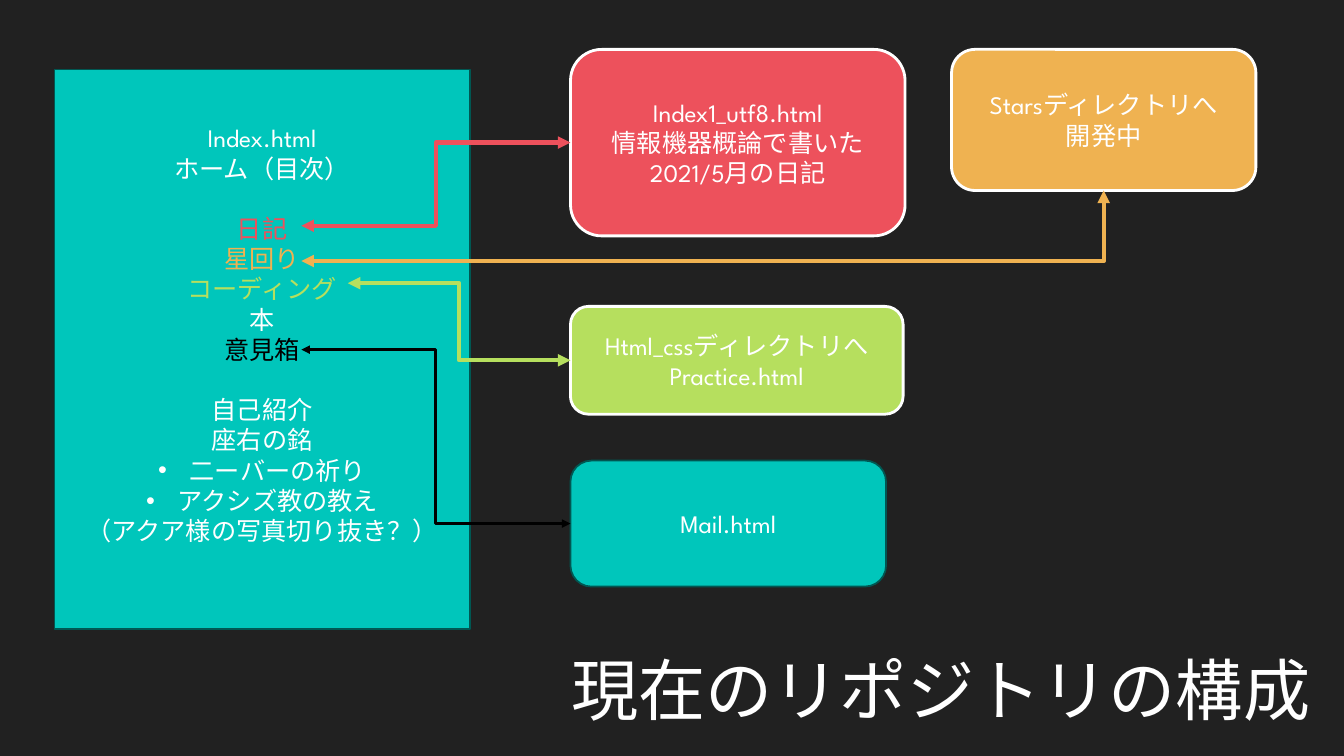
from dataclasses import dataclass

import lxml.etree
import pptx
import pptx.dml.color
import pptx.enum.shapes
import pptx.enum.text
import pptx.oxml.ns
import pptx.shapes.autoshape
import pptx.slide
import pptx.text.text
import pptx.util

Pt = pptx.util.Pt
qn = pptx.oxml.ns.qn
SHAPES = pptx.enum.shapes.MSO_SHAPE
ALIGN = pptx.enum.text.PP_ALIGN
ANCHOR = pptx.enum.text.MSO_ANCHOR


@dataclass(frozen=True)
class Theme:
    font: str = "League Spartan"
    body_size: float = 18
    title_size: float = 48
    ground: str = "212121"
    white: str = "FFFFFF"
    black: str = "000000"
    teal: str = "00C6BB"
    dark_teal: str = "005752"
    red: str = "ED515C"
    orange: str = "EFB251"
    green: str = "B6DF5E"


THEME = Theme()


@dataclass(frozen=True)
class Line:
    text: str
    color: str = THEME.white
    gap: float = 0
    bullet: bool = False


@dataclass(frozen=True)
class Card:
    left: float
    top: float
    width: float
    height: float
    fill: str
    outline: str
    outline_width: float
    lines: tuple[Line, ...]
    shape: pptx.enum.shapes.MSO_SHAPE = SHAPES.ROUNDED_RECTANGLE
    bottom_inset: float = 3.6

    @property
    def left_middle(self) -> tuple[float, float]:
        return self.left, self.top + self.height / 2

    @property
    def bottom_middle(self) -> tuple[float, float]:
        return self.left + self.width / 2, self.top + self.height


@dataclass(frozen=True)
class Link:
    start: tuple[float, float]
    end: tuple[float, float]
    color: str
    width: float = 3
    preset: str = "bentConnector3"


# Contents of the cards
BLANK_LINE = 21.5
HOME = Card(
    38.9, 49.7, 296.6, 399.6, THEME.teal, THEME.dark_teal, 1.25,
    (
        Line("Index.html"),
        Line("ホーム（目次）"),
        Line("日記", THEME.red, gap=BLANK_LINE),
        Line("星回り", THEME.orange),
        Line("コーディング", THEME.green),
        Line("本"),
        Line("意見箱", THEME.black),
        Line("自己紹介", gap=BLANK_LINE),
        Line("座右の銘"),
        Line("二ーバーの祈り", bullet=True),
        Line("アクシズ教の教え", bullet=True),
        Line("（アクア様の写真切り抜き？）"),
    ),
    shape=SHAPES.RECTANGLE,
    bottom_inset=3.6 + BLANK_LINE,
)
COLUMN = 407.5
DIARY = Card(COLUMN, 35.3, 239, 133.2, THEME.red, THEME.white, 2,
             (Line("Index1_utf8.html"), Line("情報機器概論で書いた2021/5月の日記")))
STARS = Card(679.7, 35.3, 217.4, 100.8, THEME.orange, THEME.white, 2,
             (Line("Starsディレクトリへ"), Line("開発中")))
CODING = Card(COLUMN, 218.9, 237.6, 77, THEME.green, THEME.white, 2,
              (Line("Html_cssディレクトリへ"), Line("Practice.html")))
MAIL = Card(COLUMN, 329, 225.4, 90, THEME.teal, THEME.dark_teal, 1.25,
            (Line("Mail.html"),))
CARDS = (HOME, DIARY, STARS, CODING, MAIL)

# Links from the table of contents to its pages
MENU_EDGE = 215.3
LINKS = (
    Link((MENU_EDGE, 161.3), DIARY.left_middle, THEME.red),
    Link((MENU_EDGE, 186.5), STARS.bottom_middle, THEME.orange, preset="bentConnector2"),
    Link((248.4, 202.3), CODING.left_middle, THEME.green),
    Link((MENU_EDGE, 249.8), MAIL.left_middle, THEME.black, width=2),
)


def rgb(color: str) -> pptx.dml.color.RGBColor:
    return pptx.dml.color.RGBColor.from_string(color)


def format_para(para: pptx.text.text._Paragraph, size: float, color: str, align: ALIGN) -> None:
    para.alignment = align
    for span in para.runs:
        span.font.name = THEME.font
        span.font.size = Pt(size)
        span.font.color.rgb = rgb(color)


def add_bullet(para: pptx.text.text._Paragraph) -> None:
    properties = para._p.get_or_add_pPr()
    properties.set("marL", str(Pt(22.5)))
    properties.set("indent", str(-Pt(22.5)))
    lxml.etree.SubElement(properties, qn("a:buFont")).set("typeface", "Arial")
    lxml.etree.SubElement(properties, qn("a:buChar")).set("char", "•")


def draw_card(page: pptx.slide.Slide, card: Card) -> None:
    box = page.shapes.add_shape(
        card.shape, Pt(card.left), Pt(card.top), Pt(card.width), Pt(card.height))
    box.shadow.inherit = False
    box.fill.solid()
    box.fill.fore_color.rgb = rgb(card.fill)
    box.line.color.rgb = rgb(card.outline)
    box.line.width = Pt(card.outline_width)
    frame = box.text_frame
    frame.word_wrap = True
    frame.vertical_anchor = ANCHOR.MIDDLE
    frame.margin_bottom = Pt(card.bottom_inset)
    frame.text = "\n".join(line.text for line in card.lines)
    for para, line in zip(frame.paragraphs, card.lines):
        format_para(para, THEME.body_size, line.color, ALIGN.CENTER)
        if line.gap:
            para.space_before = Pt(line.gap)
        if line.bullet:
            add_bullet(para)


def draw_link(page: pptx.slide.Slide, link: Link) -> None:
    connector = page.shapes.add_connector(
        pptx.enum.shapes.MSO_CONNECTOR.ELBOW,
        *(Pt(value) for value in link.start + link.end))
    connector.line.color.rgb = rgb(link.color)
    connector.line.width = Pt(link.width)
    properties = connector._element.spPr
    properties.find(qn("a:prstGeom")).set("prst", link.preset)
    outline = properties.find(qn("a:ln"))
    for arrowhead in ("a:headEnd", "a:tailEnd"):
        lxml.etree.SubElement(outline, qn(arrowhead)).set("type", "triangle")
    lxml.etree.SubElement(properties, qn("a:effectLst"))


def draw_title(page: pptx.slide.Slide, text: str) -> None:
    title = page.shapes.title
    title.left, title.top = Pt(341.3), Pt(459.4)
    title.width, title.height = Pt(601.9), Pt(65.5)
    frame = title.text_frame
    frame.word_wrap = True
    frame.auto_size = pptx.enum.text.MSO_AUTO_SIZE.NONE
    frame.vertical_anchor = ANCHOR.TOP
    frame.text = text
    format_para(frame.paragraphs[0], THEME.title_size, THEME.white, ALIGN.RIGHT)


def main() -> None:
    deck = pptx.Presentation()
    deck.slide_width, deck.slide_height = Pt(960), Pt(540)
    page = deck.slides.add_slide(deck.slide_layouts.get_by_name("Title Only"))
    page.background.fill.solid()
    page.background.fill.fore_color.rgb = rgb(THEME.ground)
    draw_title(page, "現在のリポジトリの構成")
    for card in CARDS:
        draw_card(page, card)
    for link in LINKS:
        draw_link(page, link)
    deck.save("out.pptx")


if __name__ == "__main__":
    main()
